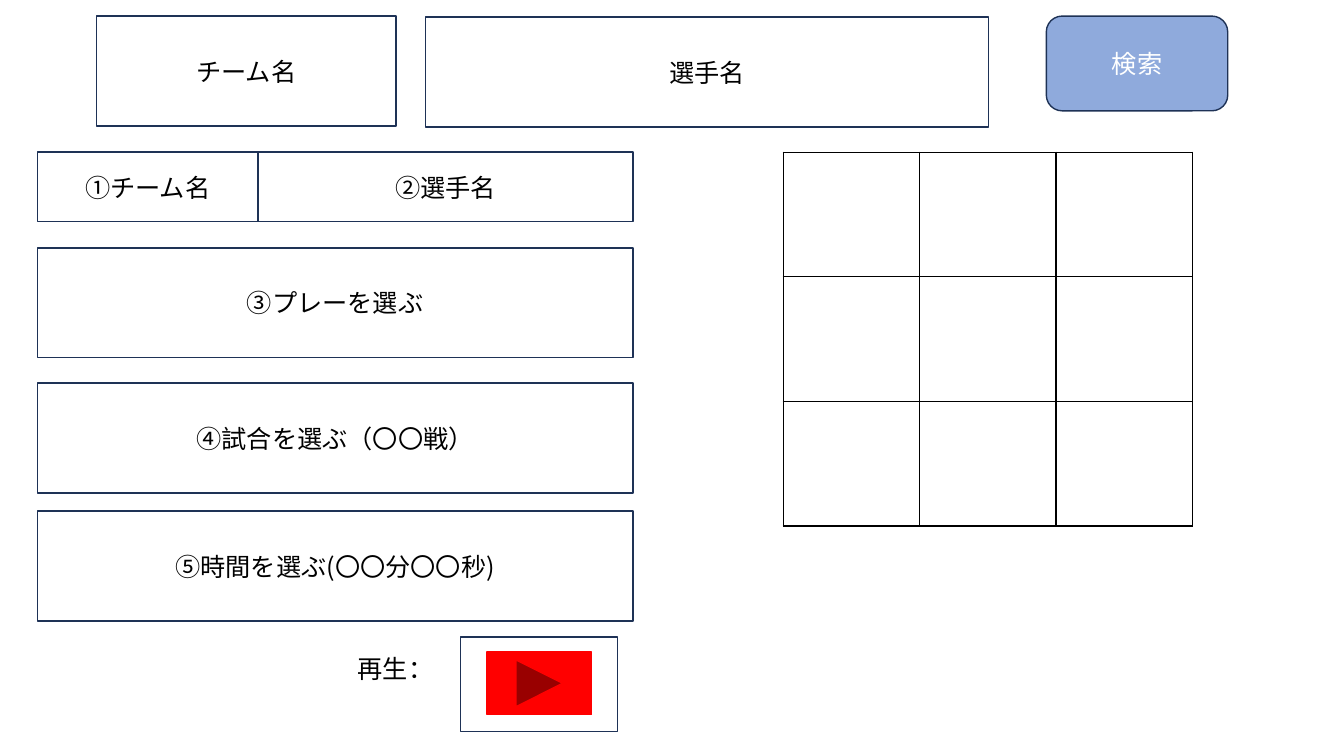
import pptx
import pptx.util
import pptx.dml.color
import pptx.enum.shapes
import pptx.enum.text
import pptx.oxml.ns
from lxml import etree

Pt = pptx.util.Pt
RGB = pptx.dml.color.RGBColor
KIND = pptx.enum.shapes.MSO_SHAPE
ALIGN = pptx.enum.text.PP_ALIGN
ANCHOR = pptx.enum.text.MSO_ANCHOR
qn = pptx.oxml.ns.qn

# Content
SEARCH = [  # text, left, top, width
    ("チーム名", 69.1, 11.5, 213.8),
    ("選手名", 303.8, 12.2, 402.5),
]
BUTTON = "検索"
PAIR = [("①チーム名", 157.7), ("②選手名", 267.8)]  # text, width
STEPS = [  # text, top
    ("③プレーを選ぶ", 177.1),
    ("④試合を選ぶ（〇〇戦）", 273.6),
    ("⑤時間を選ぶ(〇〇分〇〇秒)", 365),
]
PLAY = "再生："

# Style
FONT = "Noto Sans CJK JP"
BLACK = RGB(0x00, 0x00, 0x00)
WHITE = RGB(0xFF, 0xFF, 0xFF)
NAVY = RGB(0x1E, 0x32, 0x56)
BLUE = RGB(0x8F, 0xAA, 0xDC)
RED = RGB(0xFF, 0x00, 0x00)

# Layout
LEFT, TOP = 26.6, 108.7
TALL, SHORT = 78.5, 49.7
GRID_X, GRID_N, CELL_W, CELL_H = 559.5, 3, 97.4, 89.0

deck = pptx.Presentation()
deck.slide_width, deck.slide_height = Pt(960), Pt(540)
slide = deck.slides.add_slide(deck.slide_layouts[6])


def write(frame, text, size=18, color=BLACK, align=ALIGN.CENTER,
          anchor=ANCHOR.MIDDLE, wrap=True):
    frame.word_wrap = wrap
    frame.vertical_anchor = anchor
    para = frame.paragraphs[0]
    para.alignment = align
    run = para.add_run()
    run.text = text
    run.font.size = Pt(size)
    run.font.name = FONT
    run.font.color.rgb = color
    east = etree.SubElement(run.font._element, qn("a:ea"))
    east.set("typeface", FONT)


def box(x, y, w, h, text="", kind=KIND.RECTANGLE, fill=WHITE, line=NAVY,
        color=BLACK):
    shape = slide.shapes.add_shape(kind, Pt(x), Pt(y), Pt(w), Pt(h))
    shape.shadow.inherit = False
    shape.fill.solid()
    shape.fill.fore_color.rgb = fill
    shape.line.color.rgb = line
    shape.line.width = Pt(1)
    if text:
        write(shape.text_frame, text, color=color)


def border(cell):
    props = cell._tc.get_or_add_tcPr()
    for at, side in enumerate(("a:lnL", "a:lnR", "a:lnT", "a:lnB")):
        edge = etree.Element(qn(side), w=str(Pt(1)))
        fill = etree.SubElement(edge, qn("a:solidFill"))
        etree.SubElement(fill, qn("a:srgbClr"), val=str(BLACK))
        props.insert(at, edge)


# Empty grid
grid = slide.shapes.add_table(
    GRID_N, GRID_N, Pt(GRID_X), Pt(TOP),
    Pt(GRID_N * CELL_W), Pt(GRID_N * CELL_H)).table
grid.first_row = grid.horz_banding = False
for col in grid.columns:
    col.width = Pt(CELL_W)
for row in grid.rows:
    row.height = Pt(CELL_H)
for cell in grid.iter_cells():
    cell.fill.solid()
    cell.fill.fore_color.rgb = WHITE
    border(cell)

# Numbered steps
x = LEFT
for text, wide in PAIR:
    box(x, TOP, wide, SHORT, text)
    x += wide
for text, y in STEPS:
    box(LEFT, y, x - LEFT, TALL, text)

# Play button and its label
box(329, 455, 112.3, 67.7)
box(347.8, 465.8, 74.9, 44.6, kind=KIND.ACTION_BUTTON_FORWARD_OR_NEXT,
    fill=RED, line=RED)
label = slide.shapes.add_textbox(Pt(248.4), Pt(463), Pt(69.1), Pt(28.8))
write(label.text_frame, PLAY, align=ALIGN.LEFT, anchor=ANCHOR.TOP, wrap=False)
label.text_frame.auto_size = pptx.enum.text.MSO_AUTO_SIZE.SHAPE_TO_FIT_TEXT

# Search bar
for text, x, y, wide in SEARCH:
    box(x, y, wide, TALL, text)
box(747.4, 11.5, 129.6, 67.7, BUTTON, kind=KIND.ROUNDED_RECTANGLE,
    fill=BLUE, color=WHITE)

deck.save("out.pptx")
